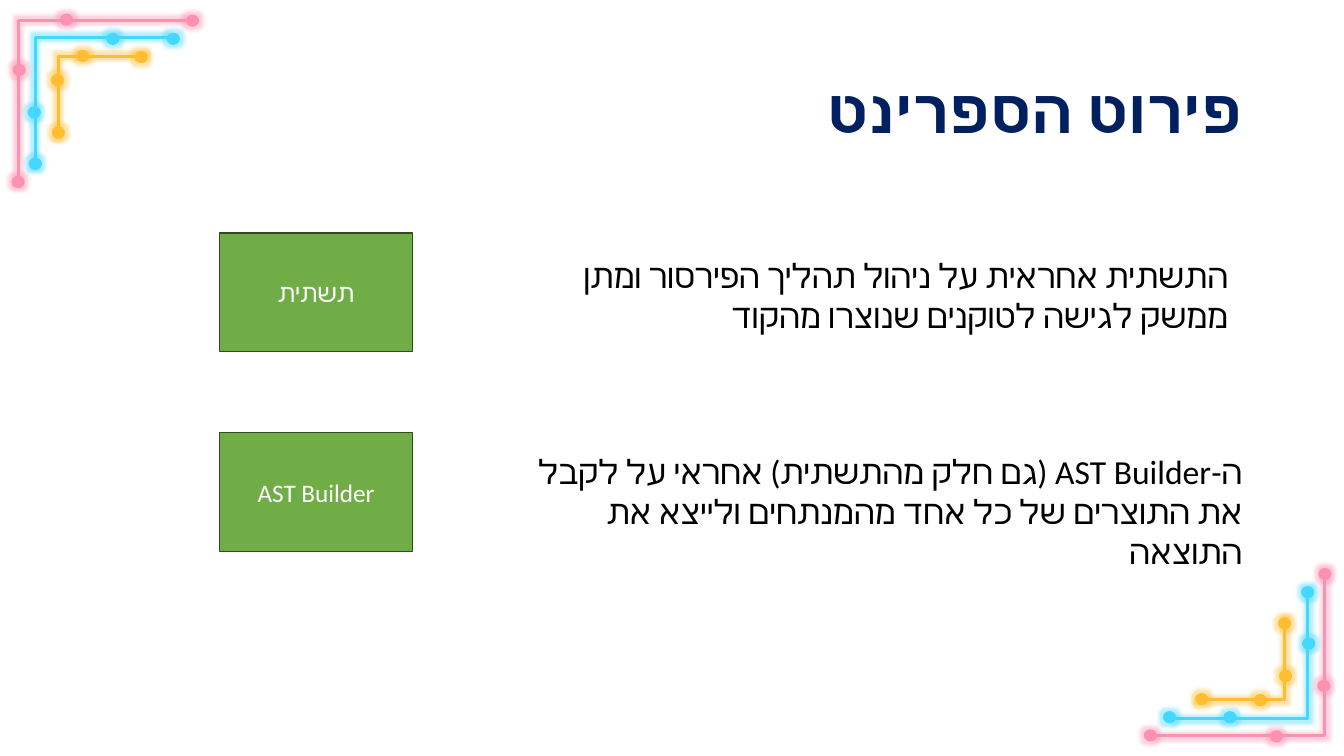
import pptx
import pptx.util
import pptx.dml.color
import pptx.enum.shapes
import pptx.enum.text
import pptx.oxml.ns
import lxml.etree

PX = 9144
WIDE, HIGH = 1333, 750
DOT_W, DOT_H = 10, 9
SHAPE = pptx.enum.shapes.MSO_SHAPE
ALIGN = pptx.enum.text.PP_ALIGN
ANCHOR = pptx.enum.text.MSO_ANCHOR
qn = pptx.oxml.ns.qn


def paint(item, code):
    item.rgb = pptx.dml.color.RGBColor.from_string(code)


def write(shape, text, size, font, color, align):
    frame = shape.text_frame
    frame.word_wrap = True
    frame.text = text
    para = frame.paragraphs[0]
    para.alignment = align
    para.font.name = font
    para.font.size = pptx.util.Pt(size)
    para.font.fill.solid()
    paint(para.font.fill.fore_color, color)
    props = para._p.get_or_add_pPr()
    props.set("rtl", "1")
    lxml.etree.SubElement(props.find(qn("a:defRPr")), qn("a:cs"), typeface=font)
    return para


deck = pptx.Presentation()
deck.slide_width = WIDE * PX
deck.slide_height = HIGH * PX
slide = deck.slides.add_slide(deck.slide_layouts[5])
shapes = slide.shapes

bends = [
    ("45D8FF", "45D8FF", [(1297, 584), (1297, 713), (1164, 713)],
     [(1292, 583), (1155, 707), (1293, 634), (1215, 707)]),
    ("FF91B0", "FF93B2", [(1314, 567), (1314, 730), (1147, 730)],
     [(1309, 565), (1136, 725), (1261, 726), (1308, 676)]),
    ("FFBD30", "FFBD30", [(1274, 613), (1274, 694), (1187, 694)],
     [(1269, 614), (1270, 666), (1187, 689), (1245, 690)]),
]
for flip in (False, True):
    for edge, fill, bend, dots in bends:
        if flip:
            bend = [(WIDE - 1 - x, HIGH - y) for x, y in bend]
            dots = [(WIDE - 1 - x - DOT_W, HIGH - y - DOT_H) for x, y in dots]
        pen = shapes.build_freeform(*bend[0], scale=PX)
        pen.add_line_segments(bend[1:], close=False)
        trace = pen.convert_to_shape()
        trace.fill.background()
        parts = [trace]
        for x, y in dots:
            dot = shapes.add_shape(SHAPE.OVAL, x * PX, y * PX, DOT_W * PX, DOT_H * PX)
            dot.fill.solid()
            paint(dot.fill.fore_color, fill)
            parts.append(dot)
        for part in parts:
            paint(part.line.color, edge)
            part.line.width = pptx.util.Pt(2.25)
            part.shadow.inherit = False
            effects = part._element.spPr.find(qn("a:effectLst"))
            glow = lxml.etree.SubElement(effects, qn("a:glow"), rad="63500")
            tint = lxml.etree.SubElement(glow, qn("a:srgbClr"), val=edge)
            lxml.etree.SubElement(tint, qn("a:alpha"), val="40000")

title = shapes.title
title.left, title.top, title.width, title.height = [n * PX for n in (92, 40, 1150, 145)]
head = write(title, "פירוט הספרינט", 44, "Cabin", "002060", ALIGN.RIGHT)
head.font.bold = True
head.line_spacing = 0.9
title.text_frame.vertical_anchor = ANCHOR.MIDDLE
title.text_frame.auto_size = pptx.enum.text.MSO_AUTO_SIZE.NONE

rows = [
    ("תשתית", 231, (523, 248, 705, 91),
     "התשתית אחראית על ניהול תהליך הפירסור ומתן ממשק לגישה לטוקנים שנוצרו מהקוד"),
    ("AST Builder", 429, (508, 442, 734, 91),
     "ה-AST Builder (גם חלק מהתשתית) אחראי על לקבל את התוצרים של כל אחד מהמנתחים ולייצא את התוצאה"),
]
for name, top, place, text in rows:
    box = shapes.add_shape(SHAPE.RECTANGLE, 218 * PX, top * PX, 191 * PX, 118 * PX)
    box.shadow.inherit = False
    box.fill.solid()
    paint(box.fill.fore_color, "70AD47")
    paint(box.line.color, "314C1F")
    box.line.width = pptx.util.Pt(1)
    box.text_frame.vertical_anchor = ANCHOR.MIDDLE
    write(box, name, 18, "Calibri", "FFFFFF", ALIGN.CENTER)
    note = shapes.add_textbox(*[n * PX for n in place])
    write(note, text, 24, "Calibri", "000000", ALIGN.RIGHT)

deck.save("out.pptx")
